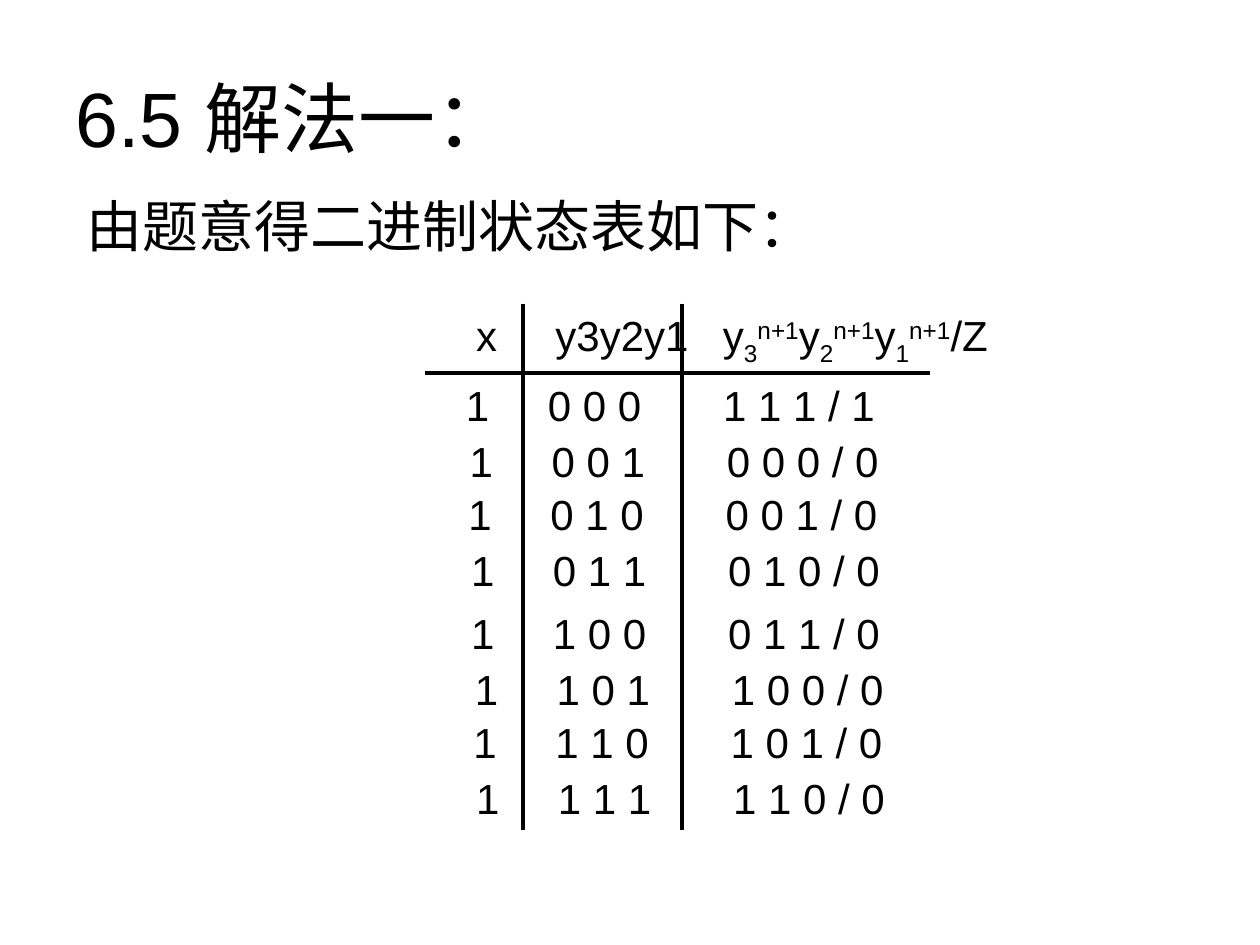
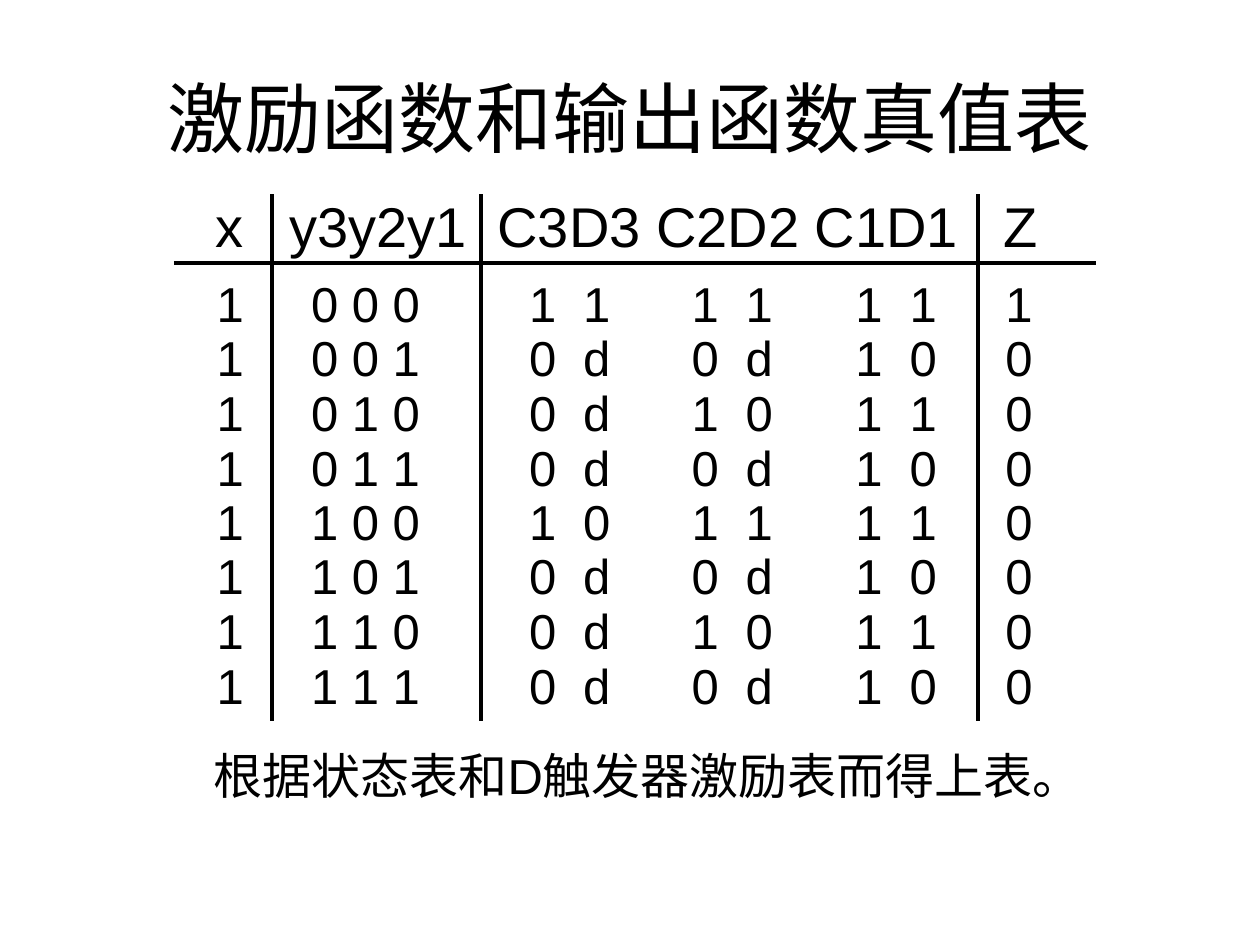
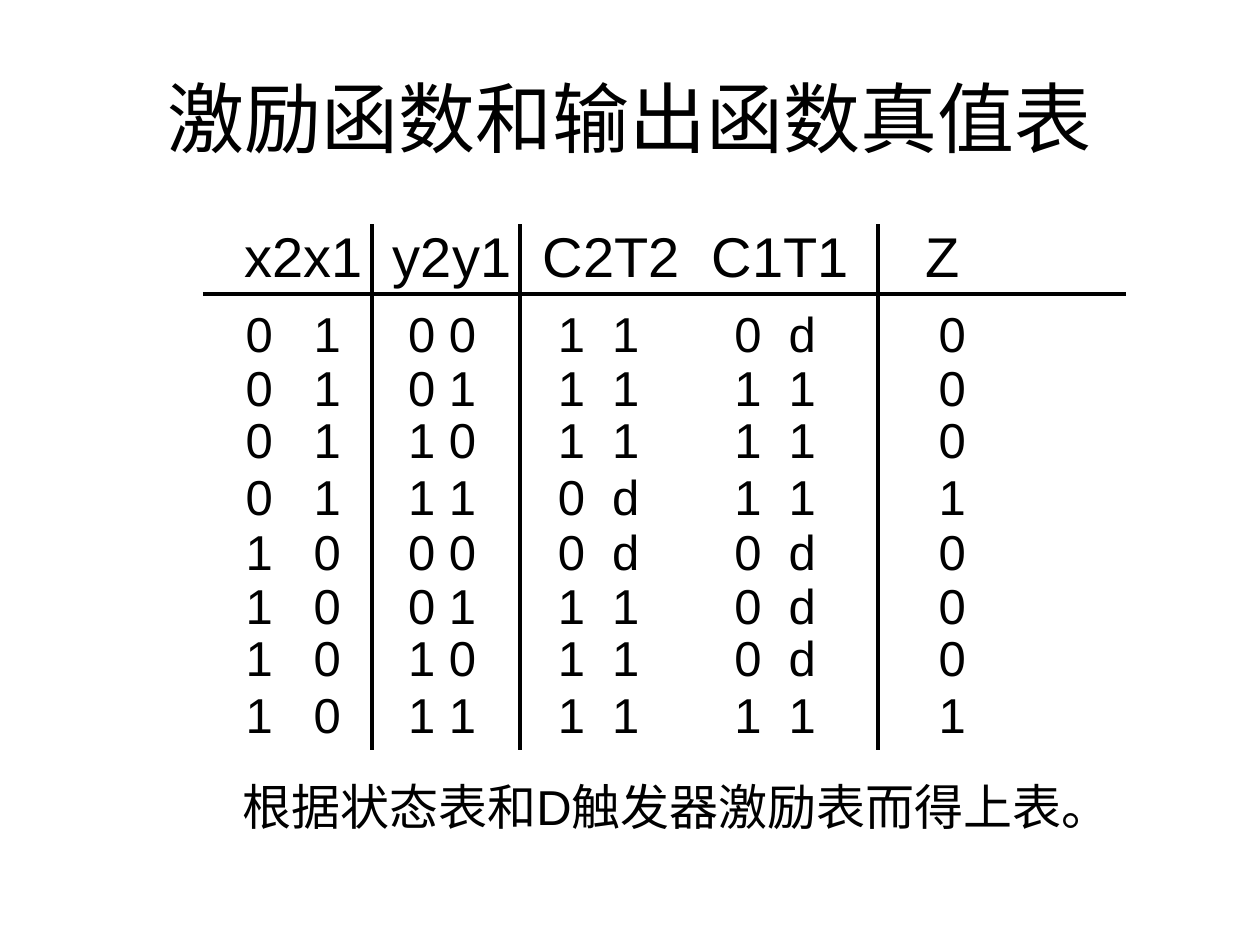
from lxml import etree
from pptx import Presentation
from pptx import util as u
from pptx.dml.color import RGBColor
from pptx.enum import shapes, text
from pptx.oxml import ns

COLORS = {"ink": "000000"}
FONT = "Arial"
TITLE_BOX = (0.5, 0.3, 9, 1.25)
ROW_HEIGHT = 0.57
EVEN_STEPS = (0, 0.43, 0.87, 1.3)
LOOSE_STEPS = (0, 0.43, 0.84, 1.29)
HALF_TABLE = 1.73
TRUTH_TITLE = "激励函数和输出函数真值表"
TRUTH_NOTE = "根据状态表和D触发器激励表而得上表。"


def ink():
    return RGBColor.from_string(COLORS["ink"])


def style(para, size, align=text.PP_ALIGN.LEFT):
    para.alignment = align
    para.font.size = u.Pt(size)
    para.font.name = FONT
    para.font.color.rgb = ink()


def set_tabs(para, stops):
    tab_list = etree.SubElement(para._p.get_or_add_pPr(), ns.qn("a:tabLst"))
    for stop in stops:
        etree.SubElement(tab_list, ns.qn("a:tab"), pos=str(u.Inches(stop)), algn="l")


def add_text(page, box, spans, size, stops=()):
    """Add one line of (wording, baseline percent) spans, aligned on tab stops."""
    frame = page.shapes.add_textbox(*map(u.Inches, box)).text_frame
    frame.word_wrap = True
    frame.margin_right = 0
    para = frame.paragraphs[0]
    if stops:
        set_tabs(para, stops)
    style(para, size)
    for wording, baseline in spans:
        span = para.add_run()
        span.text = wording
        if baseline:
            span._r.get_or_add_rPr().set("baseline", str(baseline * 1000))


def add_rule(page, x1, y1, x2, y2):
    line = page.shapes.add_connector(
        shapes.MSO_CONNECTOR.STRAIGHT, *map(u.Inches, (x1, y1, x2, y2)))
    line.line.color.rgb = ink()
    line.line.width = u.Pt(2.25)
    etree.SubElement(line._element.spPr, ns.qn("a:effectLst"))


def add_page(deck, title, align):
    page = deck.slides.add_slide(deck.slide_layouts[5])
    heading = page.shapes.title
    heading.left, heading.top, heading.width, heading.height = map(u.Inches, TITLE_BOX)
    heading.text_frame.text = title
    heading.text_frame.vertical_anchor = text.MSO_ANCHOR.MIDDLE
    style(heading.text_frame.paragraphs[0], 44, align)
    return page


def add_grid(page, box, head_depth, dividers):
    left, top, width, height = box
    add_rule(page, left, top + head_depth, left + width, top + head_depth)
    for offset in dividers:
        add_rule(page, left + offset, top, left + offset, top + height)


def add_rows(page, left, top, width, rows, size, stops, steps, half, drift=(0,) * 4, shift=0):
    """Place rows in two halves of four that share their steps and sideways drift."""
    for index, row in enumerate(rows):
        part, place = divmod(index, 4)
        box = (left + drift[place] + part * shift, top + steps[place] + part * half,
               width, ROW_HEIGHT)
        add_text(page, box, [("\t".join(row), 0)], size, stops)


def bits(number):
    return " ".join(f"{number:03b}")


def state_table_slide(deck):
    page = add_page(deck, "6.5 解法一：", text.PP_ALIGN.LEFT)
    add_text(page, (0.59, 1.47, 5.98, 0.64), [("由题意得二进制状态表如下：", 0)], 32)

    # Heading with the next-state symbols
    box = left, top, *_ = (3.37, 2.41, 4.01, 4.18)
    spans = [("x\ty3y2y1\t", 0)]
    for digit in "321":
        spans += [("y", 0), (digit, -25), ("n+1", 30)]
    spans.append(("/Z", 0))
    add_text(page, (left + 0.31, top, 4.4, 0.56), spans, 24, (0.63, 1.96))

    # A modulo-8 down counter, whose output is 1 on wrapping round
    rows = [("1", bits(state), f"{bits((state - 1) % 8)} / {int(state == 0)}")
            for state in range(8)]
    add_rows(page, left + 0.23, top + 0.55, 3.5, rows, 24, (0.65, 2.04),
             (0, 0.45, 0.87, 1.31), 1.81, (0, 0.03, 0.02, 0.04), 0.04)
    add_grid(page, box, 0.55, (0.78, 2.04))


def truth_table_slide(deck, box, dividers, heads, head_stops, rows, row_stops, steps):
    page = add_page(deck, TRUTH_TITLE, text.PP_ALIGN.CENTER)
    left, top, width, height = box
    add_text(page, (left + 0.23, top - 0.07, 6.8, 0.64),
             [("\t".join(heads), 0)], 32, head_stops)
    add_rows(page, left + 0.24, top + 0.58, 6.75, rows, 28, row_stops, steps, HALF_TABLE)
    add_grid(page, box, 0.55, dividers)
    add_text(page, (left + 0.22, top + 4.33, 7.27, ROW_HEIGHT), [(TRUTH_NOTE, 0)], 28)


def main():
    deck = Presentation()
    deck.slide_width, deck.slide_height = u.Inches(10), u.Inches(7.5)

    state_table_slide(deck)

    # D flip-flops: C3 D3 C2 D2 C1 D1 Z for each state
    drives = ("1111111", "0d0d100", "0d10110", "0d0d100",
              "1011110", "0d0d100", "0d10110", "0d0d100")
    truth_table_slide(
        deck, (1.38, 1.54, 7.32, 4.18), (0.78, 2.44, 6.38),
        ("x", "y3y2y1", "C3D3", "C2D2", "C1D1", "Z"), (0.59, 2.24, 3.5, 4.76, 6.26),
        [("1", bits(state), *drive) for state, drive in enumerate(drives)],
        (0.75, 2.48, 2.91, 3.77, 4.2, 5.07, 5.5, 6.26), EVEN_STEPS)

    # T flip-flops: C2 T2 C1 T1 Z for each input and state
    drives = ("110d0", "11110", "11110", "0d111",
              "0d0d0", "110d0", "110d0", "11111")
    states = [(inputs, state) for inputs in ("01", "10")
              for state in ("0 0", "0 1", "1 0", "1 1")]
    truth_table_slide(
        deck, (1.61, 1.78, 7.33, 4.17), (1.34, 2.52, 5.36),
        ("x2x1", "y2y1", "C2T2", "C1T1", "Z"), (1.18, 2.37, 3.71, 5.41),
        [(*inputs, state, *drive) for (inputs, state), drive in zip(states, drives)],
        (0.54, 1.29, 2.48, 2.91, 3.88, 4.31, 5.5), LOOSE_STEPS)

    deck.save("out.pptx")


if __name__ == "__main__":
    main()
